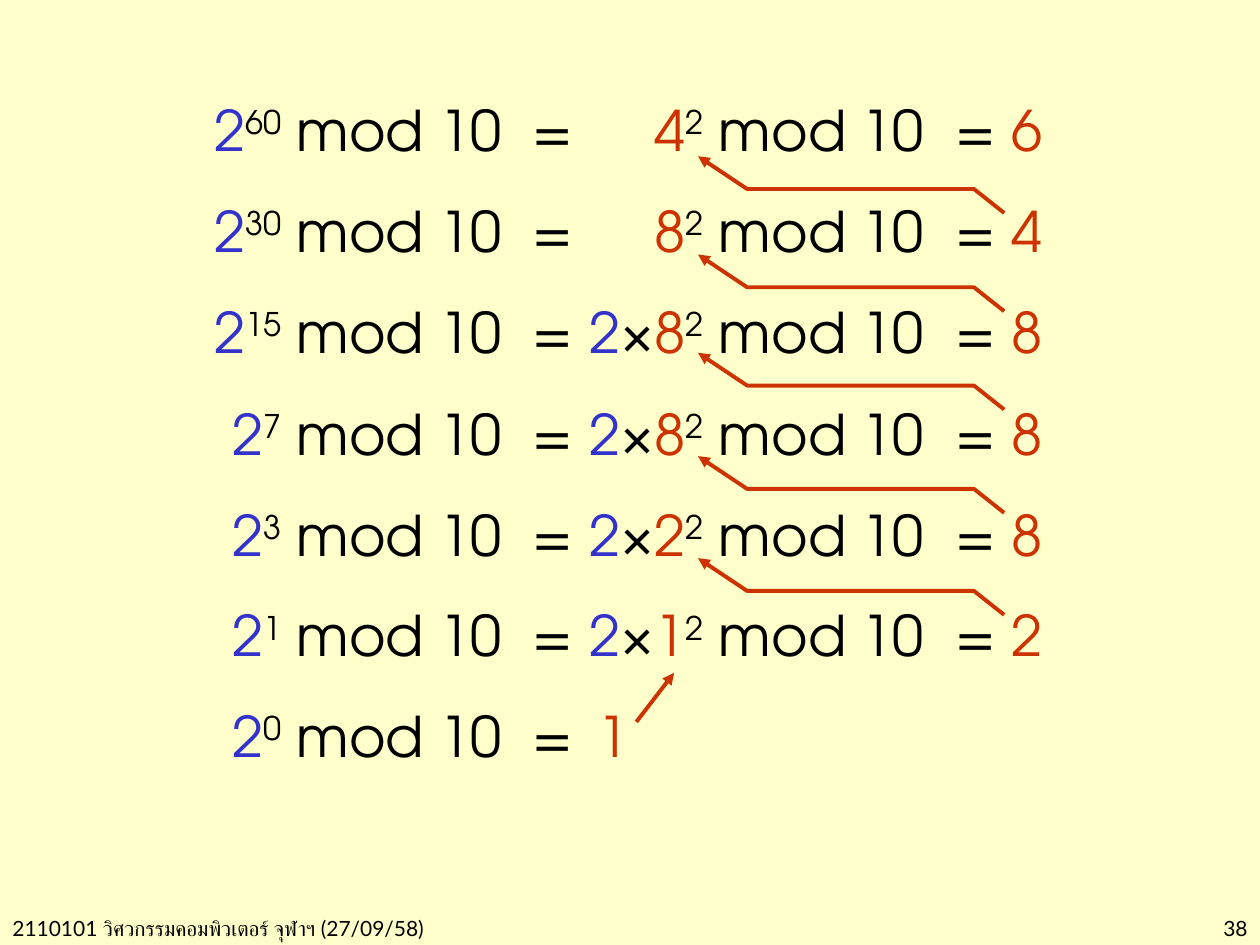
"""Build the slide on computing 2 to the 60th modulo 10 by repeated squaring."""
import pptx
import pptx.util
import pptx.dml.color
import pptx.enum.text
import pptx.enum.shapes
import pptx.oxml
import pptx.oxml.ns
from pptx.util import Inches

BLUE, RED, BLACK, CREAM = "3333CC", "CC3300", "000000", "FFFFCC"
MATH_FONT, FOOTER_FONT = "TeX Gyre Adventor", "Lato"
LEFT, RIGHT = pptx.enum.text.PP_ALIGN.LEFT, pptx.enum.text.PP_ALIGN.RIGHT

STEPS = [
    ("60", "", "4", "6"),
    ("30", "", "8", "4"),
    ("15", "2", "8", "8"),
    ("7", "2", "8", "8"),
    ("3", "2", "2", "8"),
    ("1", "2", "1", "2"),
]
BASE_EXPONENT, BASE_RESULT = "0", "1"
FIRST_TOP, ROW_STEP, ROW_HEIGHT = 0.71, 0.802, 0.63
ARROW_TOPS = [1.24, 2.02, 2.8, 3.62, 4.43]
ARROW_OUTLINE = [(7.97, 0.45), (7.73, 0.26), (5.93, 0.26), (5.54, 0)]
FOOTERS = [
    (0, 3.9, LEFT, "2110101 วิศวกรรมคอมพิวเตอร์ จุฬาฯ (27/09/58)"),
    (8.62, 1.38, RIGHT, "38"),
]


def rgb(color):
    """Return the colour for a hex string."""
    return pptx.dml.color.RGBColor.from_string(color)


def add_text(box, align, font, size, pieces):
    """Add a one-line text box from (text, colour, raised) pieces."""
    frame = slide.shapes.add_textbox(*map(Inches, box)).text_frame
    frame.word_wrap = True
    line = frame.paragraphs[0]
    line.alignment = align
    line.font.name, line.font.size = font, pptx.util.Pt(size)
    for text, color, raised in pieces:
        run = line.add_run()
        run.text = text
        run.font.color.rgb = rgb(color)
        if raised:
            run.font._element.set("baseline", "30000")


def add_math(left, top, width, align, pieces):
    """Add one side of an equation."""
    add_text((left, top, width, ROW_HEIGHT), align, MATH_FONT, 32, pieces)


def style_arrow(arrow):
    """Give a line or open outline the red arrow look."""
    arrow.line.color.rgb = rgb(RED)
    arrow.line.width = pptx.util.Pt(2.25)
    namespace = pptx.oxml.ns.nsdecls("a")
    arrow.line._get_or_add_ln().append(
        pptx.oxml.parse_xml(f'<a:tailEnd {namespace} type="triangle"/>'))
    arrow._element.spPr.append(pptx.oxml.parse_xml(f"<a:effectLst {namespace}/>"))


deck = pptx.Presentation()
deck.slide_width, deck.slide_height = Inches(10), Inches(7.5)
slide = deck.slides.add_slide(deck.slide_layouts[6])
slide.background.fill.solid()
slide.background.fill.fore_color.rgb = rgb(CREAM)

for left, width, align, text in FOOTERS:
    add_text((left, 7.22, width, 0.3), align, FOOTER_FONT, 12, [(text, BLACK, False)])

row_tops = [round(FIRST_TOP + row * ROW_STEP, 2) for row in range(len(STEPS) + 1)]
exponents = [step[0] for step in STEPS] + [BASE_EXPONENT]
for top, exponent in zip(row_tops, exponents):
    add_math(1.26, top, 3.39, RIGHT, [
        ("2", BLUE, False), (exponent, BLACK, True), (" mod 10  =", BLACK, False)])

for top, (_, factor, root, result) in zip(row_tops, STEPS):
    doubling = [(factor, BLUE, False), ("×", BLACK, False)] if factor else []
    add_math(4.53, top, 3.84, RIGHT, doubling + [
        (root, RED, False), ("2", BLACK, True),
        (" mod 10  = ", BLACK, False), (result, RED, False)])
add_math(4.64, row_tops[-1], 0.57, LEFT, [(BASE_RESULT, RED, False)])

style_arrow(slide.shapes.add_connector(
    pptx.enum.shapes.MSO_CONNECTOR.STRAIGHT,
    *map(Inches, (5.05, 5.73, 5.35, 5.34))))
for top in ARROW_TOPS:
    start, *bends = [(Inches(x), Inches(top + y)) for x, y in ARROW_OUTLINE]
    outline = slide.shapes.build_freeform(*start)
    outline.add_line_segments(bends, close=False)
    result_arrow = outline.convert_to_shape()
    result_arrow.fill.background()
    style_arrow(result_arrow)

deck.save("out.pptx")
